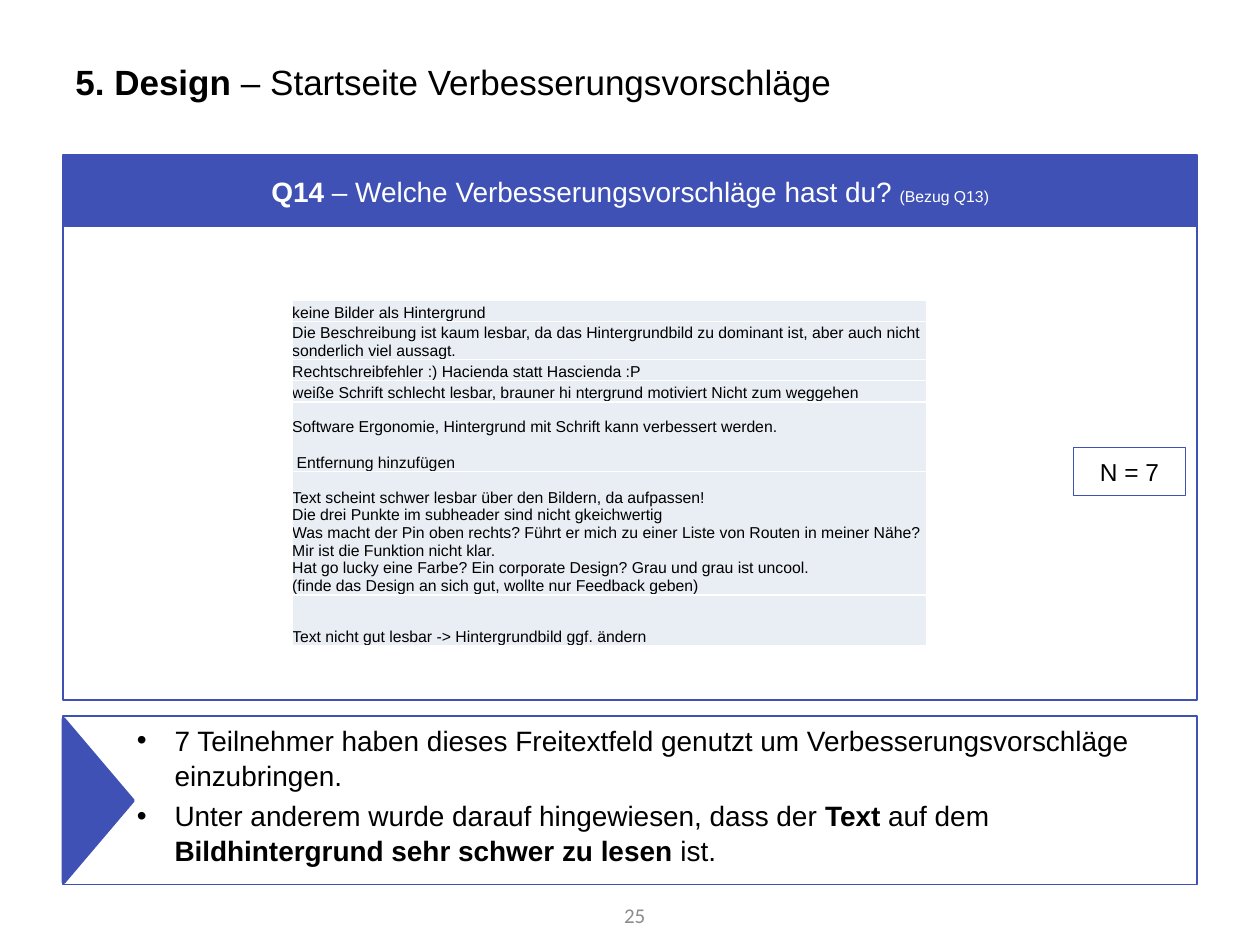
"""Build the survey slide on suggested improvements to the start page design."""
from dataclasses import dataclass

from lxml.etree import SubElement
from pptx import Presentation
from pptx.dml.color import RGBColor
from pptx.enum.shapes import MSO_SHAPE
from pptx.enum.text import MSO_ANCHOR, PP_ALIGN
from pptx.oxml import parse_xml
from pptx.oxml.ns import nsdecls, qn
from pptx.slide import Slide
from pptx.text.text import TextFrame, _Paragraph
from pptx.util import Cm, Pt

INDIGO = RGBColor(0x3F, 0x51, 0xB5)
PALE = RGBColor(0xE9, 0xED, 0xF4)
GREY = RGBColor(0x8C, 0x8C, 0x8C)
BLACK = RGBColor(0, 0, 0)
WHITE = RGBColor(255, 255, 255)


@dataclass(frozen=True)
class Span:
    text: str
    size: float
    bold: bool = False
    color: RGBColor = BLACK
    name: str = "Arial"


@dataclass(frozen=True)
class Box:
    left: float
    top: float
    width: float
    height: float
    paras: tuple[tuple[Span, ...], ...] = ()
    shape: MSO_SHAPE | None = MSO_SHAPE.RECTANGLE
    fill: RGBColor | None = None
    line: float = 1
    rotation: float = 0
    align: PP_ALIGN = PP_ALIGN.CENTER
    anchor: MSO_ANCHOR = MSO_ANCHOR.MIDDLE
    bullets: bool = False


@dataclass(frozen=True)
class Answer:
    height: float
    lines: tuple[str, ...]
    gap: float = 0


BOXES = (
    Box(1.27, 0.76, 22.86, 1.75,
        ((Span("5. Design ", 20, True), Span("– Startseite Verbesserungsvorschläge", 20)),),
        shape=None, align=PP_ALIGN.LEFT),
    Box(1.27, 14.43, 22.86, 3.4, (
        (Span("7 Teilnehmer haben dieses Freitextfeld genutzt um "
              "Verbesserungsvorschläge einzubringen.", 16),),
        (Span("Unter anderem wurde darauf hingewiesen, dass der ", 16), Span("Text", 16, True),
         Span(" auf dem ", 16), Span("Bildhintergrund sehr schwer zu lesen ", 16, True),
         Span("ist.", 16)),
    ), align=PP_ALIGN.LEFT, anchor=MSO_ANCHOR.TOP, bullets=True),
    Box(0.33, 15.44, 3.3, 1.4, shape=MSO_SHAPE.ISOSCELES_TRIANGLE, fill=INDIGO, line=2,
        rotation=90),
    Box(1.27, 3.12, 22.86, 11),
    Box(1.3, 3.15, 22.81, 1.4,
        ((Span("Q14 ", 16, True, WHITE),
          Span("– Welche Verbesserungsvorschläge hast du? ", 16, color=WHITE),
          Span("(Bezug Q13)", 9, color=WHITE)),),
        fill=INDIGO, line=2),
    Box(21.64, 9.02, 2.26, 0.97, ((Span("N = 7", 14),),)),
    Box(11.66, 17.93, 1.6, 1.02, ((Span("25", 12, color=GREY, name="Calibri"),),),
        shape=None, align=PP_ALIGN.RIGHT),
)

ANSWERS = (
    Answer(0.43, ("keine Bilder als Hintergrund",)),
    Answer(0.71, ("Die Beschreibung ist kaum lesbar, da das Hintergrundbild zu dominant ist, "
                  "aber auch nicht sonderlich viel aussagt.",)),
    Answer(0.43, ("Rechtschreibfehler :) Hacienda statt Hascienda :P",)),
    Answer(0.43, ("weiße Schrift schlecht lesbar, brauner hi ntergrund motiviert "
                  "Nicht zum weggehen",)),
    Answer(1.4, ("Software Ergonomie, Hintergrund mit Schrift kann verbessert werden.",
                 " Entfernung hinzufügen"), gap=10),
    Answer(2.49, ("Text scheint schwer lesbar über den Bildern, da aufpassen!",
                  "Die drei Punkte im subheader sind nicht gkeichwertig",
                  "Was macht der Pin oben rechts? Führt er mich zu einer Liste von Routen in "
                  "meiner Nähe? Mir ist die Funktion nicht klar.",
                  "Hat go lucky eine Farbe? Ein corporate Design? Grau und grau ist uncool.",
                  "(finde das Design an sich gut, wollte nur Feedback geben)")),
    Answer(1.02, ("Text nicht gut lesbar -> Hintergrundbild ggf. ändern",)),
)


def set_values(target: object, values: dict[str, object]) -> None:
    """Set every named attribute of the target."""
    for key, value in values.items():
        setattr(target, key, value)


def add_span(para: _Paragraph, span: Span) -> None:
    """Append one formatted run to a paragraph."""
    run = para.add_run()
    run.text = span.text
    set_values(run.font, {"name": span.name, "size": Pt(span.size), "bold": span.bold})
    run.font.color.rgb = span.color


def add_bullet(para: _Paragraph) -> None:
    """Give a paragraph a hanging round bullet."""
    properties = para._p.get_or_add_pPr()
    properties.set("marL", str(Cm(2)))
    properties.set("indent", str(-Cm(0.76)))
    SubElement(properties, qn("a:buFont")).set("typeface", "Arial")
    SubElement(properties, qn("a:buChar")).set("char", "•")


def fill_frame(frame: TextFrame, paras: tuple[tuple[Span, ...], ...], align: PP_ALIGN,
               gap: float = 0, bullets: bool = False) -> None:
    """Write paragraphs, with the gap in points between them."""
    for index, spans in enumerate(paras):
        para = frame.add_paragraph() if index else frame.paragraphs[0]
        para.alignment = align
        if index:
            para.space_before = Pt(gap)
        if bullets:
            para.line_spacing = 1.04
            add_bullet(para)
        for span in spans:
            add_span(para, span)


def draw_box(page: Slide, box: Box) -> None:
    """Draw a text box or an outlined shape."""
    place = [Cm(length) for length in (box.left, box.top, box.width, box.height)]
    if box.shape is None:
        item = page.shapes.add_textbox(*place)
    else:
        item = page.shapes.add_shape(box.shape, *place)
        item.shadow.inherit = False
        item.rotation = box.rotation
        item.line.color.rgb = INDIGO
        item.line.width = Pt(box.line)
        if box.fill is None:
            item.fill.background()
        else:
            item.fill.solid()
            item.fill.fore_color.rgb = box.fill
    set_values(item.text_frame, {"word_wrap": True, "vertical_anchor": box.anchor})
    fill_frame(item.text_frame, box.paras, box.align, 3.2, box.bullets)


def draw_answers(page: Slide, answers: tuple[Answer, ...]) -> None:
    """Draw the table with one answer in each row."""
    height = sum(answer.height for answer in answers)
    table = page.shapes.add_table(len(answers), 1, Cm(5.89), Cm(6.05), Cm(12.8), Cm(height)).table
    set_values(table, {"first_row": False, "horz_banding": False})
    for row, answer in zip(table.rows, answers):
        row.height = Cm(answer.height)
        cell = row.cells[0]
        set_values(cell, {"margin_left": 0, "margin_right": 0, "margin_top": 0,
                          "margin_bottom": 0, "vertical_anchor": MSO_ANCHOR.BOTTOM})
        cell.fill.solid()
        cell.fill.fore_color.rgb = PALE
        for index, side in enumerate(("lnL", "lnR", "lnT", "lnB")):
            border = parse_xml(f'<a:{side} {nsdecls("a")} w="{Pt(1)}"><a:solidFill>'
                               f'<a:srgbClr val="{WHITE}"/></a:solidFill></a:{side}>')
            cell._tc.get_or_add_tcPr().insert(index, border)
        paras = tuple((Span(line, 9),) for line in answer.lines)
        fill_frame(cell.text_frame, paras, PP_ALIGN.LEFT, answer.gap)


def main() -> None:
    """Create and save the deck."""
    deck = Presentation()
    set_values(deck, {"slide_width": Cm(25.4), "slide_height": Cm(19.05)})
    page = deck.slides.add_slide(deck.slide_layouts[6])
    for box in BOXES:
        draw_box(page, box)
    draw_answers(page, ANSWERS)
    deck.save("out.pptx")


if __name__ == "__main__":
    main()
